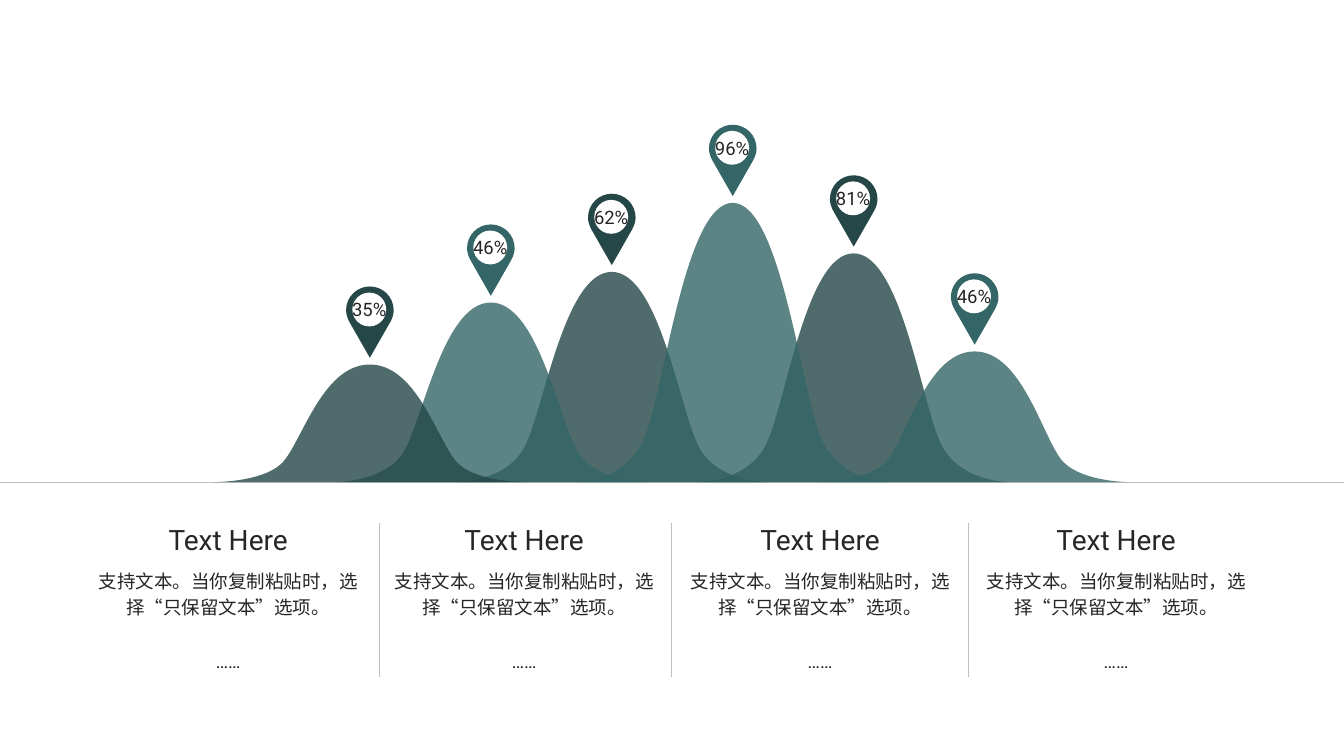
from lxml import etree
from pptx import Presentation
from pptx.dml.color import RGBColor
from pptx.enum.shapes import MSO_CONNECTOR, MSO_SHAPE
from pptx.enum.text import MSO_ANCHOR, PP_ALIGN
from pptx.oxml.ns import qn
from pptx.util import Pt

DARK = RGBColor(0x25, 0x47, 0x48)
TEAL = RGBColor(0x34, 0x66, 0x67)
WHITE = RGBColor(0xFF, 0xFF, 0xFF)
INK = RGBColor(0x26, 0x26, 0x26)
RULE = RGBColor(0xBF, 0xBF, 0xBF)
FONT = "Roboto"

SLIDE_WIDTH, SLIDE_HEIGHT = 960, 540

# Label, peak height above the baseline, colour
HILLS = [
    ("35%", 84, DARK),
    ("46%", 128.3, TEAL),
    ("62%", 150.2, DARK),
    ("96%", 199.5, TEAL),
    ("81%", 163.4, DARK),
    ("46%", 93.4, TEAL),
]
STACKING = [2, 4, 5, 1, 0, 3]  # hills from back to front
HILL_WIDTH = 224
HILL_PITCH = 86.4
PIN_GAP = 4.8

HEADING = "Text Here"
DETAIL = "支持文本。当你复制粘贴时，选择“只保留文本”选项。"
MORE = "……"
DIVIDERS = [270.9, 479.6, 691.8]

# Left halves of the outlines: a start, then three points for each cubic curve.
# Hill heights are shares of the peak; pin lengths are points above the tip.
HILL_HALF = [
    (-112, 0),
    (-110.6, 0), (-78.2, 0), (-63.8, 0.15),
    (-49.4, 0.3), (-35, 1), (0, 1),
]
PIN_HALF = [
    (0, 0),
    (0, 0), (-14.5, 25.4), (-14.5, 25.4),
    (-16, 28.1), (-17, 31), (-17, 34),
    (-17, 43.4), (-9.4, 51), (0, 51),
]


def add_symmetric_outline(slide, center, base, left_half, rise, color):
    """Filled curved outline: the left half and its mirror image."""
    right_half = [(-x, y) for x, y in reversed(left_half[:-1])]
    start, *rest = [(Pt(center + x), Pt(base - y * rise))
                    for x, y in left_half + right_half]
    builder = slide.shapes.build_freeform(*start)
    builder.add_line_segments(rest, close=True)
    outline = builder.convert_to_shape()

    # Join every three straight segments into one cubic curve
    segments = list(outline._element.iter(qn("a:lnTo")))
    for i in range(0, len(segments), 3):
        curve = etree.Element(qn("a:cubicBezTo"))
        segments[i].addprevious(curve)
        for segment in segments[i:i + 3]:
            curve.append(segment[0])
            segment.getparent().remove(segment)

    outline.shadow.inherit = False
    outline.fill.solid()
    outline.fill.fore_color.rgb = color
    outline.line.fill.background()
    return outline


def format_paragraph(paragraph, size):
    paragraph.alignment = PP_ALIGN.CENTER
    paragraph.font.size = Pt(size)
    paragraph.font.name = FONT
    paragraph.font.color.rgb = INK


def add_rule(slide, x1, y1, x2, y2, weight):
    rule = slide.shapes.add_connector(
        MSO_CONNECTOR.STRAIGHT, Pt(x1), Pt(y1), Pt(x2), Pt(y2))
    rule.line.color.rgb = RULE
    rule.line.width = Pt(weight)
    etree.SubElement(rule._element.spPr, qn("a:effectLst"))


def add_hill(slide, center, base, height, color):
    hill = add_symmetric_outline(slide, center, base, HILL_HALF, height, color)
    tint = hill._element.spPr.find(qn("a:solidFill"))[0]
    etree.SubElement(tint, qn("a:alpha"), val="80000")


def add_pin(slide, center, tip, label, color):
    add_symmetric_outline(slide, center, tip, PIN_HALF, 1, color)
    diameter = 24.2
    disc = slide.shapes.add_shape(
        MSO_SHAPE.OVAL, Pt(center - 0.4 - diameter / 2),
        Pt(tip - 34.5 - diameter / 2), Pt(diameter), Pt(diameter))
    disc.shadow.inherit = False
    disc.fill.solid()
    disc.fill.fore_color.rgb = WHITE
    disc.line.fill.background()
    frame = disc.text_frame
    frame.word_wrap = False
    frame.vertical_anchor = MSO_ANCHOR.MIDDLE
    frame.margin_left = frame.margin_right = 0
    frame.margin_top = frame.margin_bottom = 0
    frame.text = label
    format_paragraph(frame.paragraphs[0], 13.2)


def add_hill_chart(slide, left, base):
    """Overlapping hills, each with a pin above its peak."""
    centers = [left + HILL_WIDTH / 2 + HILL_PITCH * i for i in range(len(HILLS))]
    for i in STACKING:
        _, height, color = HILLS[i]
        add_hill(slide, centers[i], base, height, color)
    for center, (label, height, color) in zip(centers, HILLS):
        add_pin(slide, center, base - height - PIN_GAP, label, color)


def add_text_column(slide, left, top, width):
    # Heading
    heading = slide.shapes.add_textbox(Pt(left), Pt(top), Pt(width), Pt(31))
    heading.text_frame.word_wrap = True
    heading.text_frame.text = HEADING
    format_paragraph(heading.text_frame.paragraphs[0], 20)

    # Description
    detail = slide.shapes.add_textbox(Pt(left), Pt(top + 31), Pt(width), Pt(83))
    detail.text_frame.word_wrap = True
    detail.text_frame.text = f"{DETAIL}\n{MORE}"
    for paragraph in detail.text_frame.paragraphs:
        format_paragraph(paragraph, 13.2)
        paragraph.line_spacing = 1.2
    detail.text_frame.paragraphs[-1].space_before = Pt(19)


def add_text_row(slide, left, top, width, pitch):
    for i in range(len(DIVIDERS) + 1):
        add_text_column(slide, left + pitch * i, top, width)
    for x in DIVIDERS:
        add_rule(slide, x, top + 4.3, x, top + 114, 0.25)


def main():
    deck = Presentation()
    deck.slide_width, deck.slide_height = Pt(SLIDE_WIDTH), Pt(SLIDE_HEIGHT)
    slide = deck.slides.add_slide(deck.slide_layouts[6])

    baseline = 344.4
    add_rule(slide, 0, baseline, SLIDE_WIDTH, baseline, 0.5)
    add_hill_chart(slide, left=152.2, base=baseline)
    add_text_row(slide, left=59, top=369.4, width=208, pitch=211.4)
    deck.save("out.pptx")


if __name__ == "__main__":
    main()
